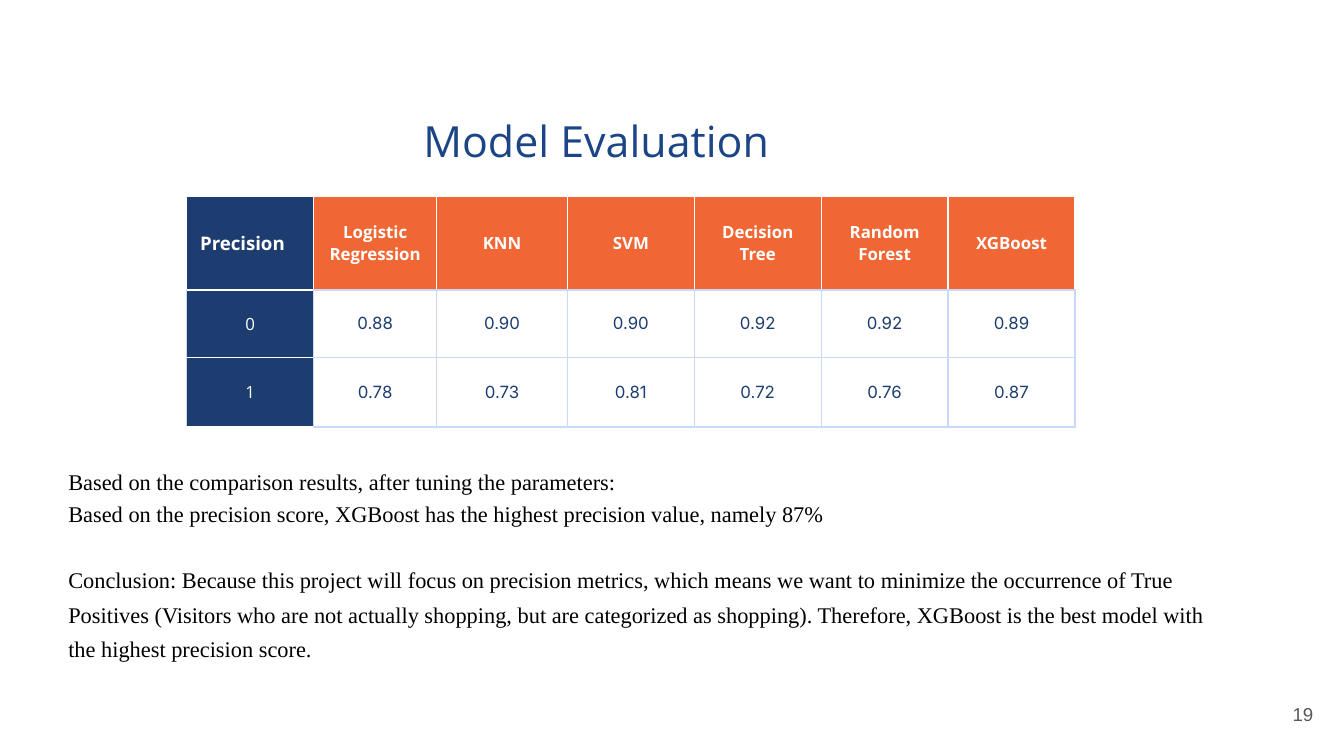
from dataclasses import dataclass

from lxml.etree import SubElement
from pptx import Presentation
from pptx.dml.color import RGBColor
from pptx.enum.text import MSO_ANCHOR, PP_ALIGN
from pptx.oxml.ns import qn
from pptx.util import Pt


@dataclass(frozen=True)
class Theme:
    title_blue: str = "1C4587"
    navy: str = "1D3D70"
    orange: str = "F06634"
    white: str = "FFFFFF"
    pale_blue: str = "C9DAF8"
    black: str = "000000"
    gray: str = "595959"
    title_size: float = 23
    corner_size: float = 10
    cell_size: float = 9
    body_size: float = 12
    number_size: float = 10
    title_font: str = "Open Sans"
    value_font: str = "Inter"
    body_font: str = "Times New Roman"
    number_font: str = "Arial"


THEME = Theme()
INSET = Pt(7.2)

COLUMN_WIDTHS = [68, 66, 70, 68, 68, 68, 68]
ROW_HEIGHTS = [50.4, 36, 37.4]
PRECISION_ROWS = [
    ["Precision", "Logistic Regression", "KNN", "SVM", "Decision Tree",
     "Random Forest", "XGBoost"],
    ["0", "0.88", "0.90", "0.90", "0.92", "0.92", "0.89"],
    ["1", "0.78", "0.73", "0.81", "0.72", "0.76", "0.87"],
]

# Text, line spacing, space before
CONCLUSIONS = [
    ("Based on the comparison results, after tuning the parameters:", 1.2, 0),
    ("Based on the precision score, XGBoost has the highest precision value, "
     "namely 87%", 1.2, 0),
    ("Conclusion: Because this project will focus on precision metrics, which "
     "means we want to minimize the occurrence of True Positives (Visitors who "
     "are not actually shopping, but are categorized as shopping). Therefore, "
     "XGBoost is the best model with the highest precision score.", 1.29, 17),
]


def style_paragraph(paragraph, font, size, color, alignment=PP_ALIGN.LEFT, bold=False):
    paragraph.alignment = alignment
    for run in paragraph.runs:
        run.font.name = font
        run.font.size = Pt(size)
        run.font.bold = bold
        run.font.color.rgb = RGBColor.from_string(color)


def set_insets(target):
    target.margin_left = target.margin_right = INSET
    target.margin_top = target.margin_bottom = INSET


def add_text_frame(slide, left, top, width, height, anchor=MSO_ANCHOR.TOP):
    shape = slide.shapes.add_textbox(Pt(left), Pt(top), Pt(width), Pt(height))
    text_frame = shape.text_frame
    text_frame.word_wrap = True
    text_frame.vertical_anchor = anchor
    set_insets(text_frame)
    return text_frame


def add_label(slide, text, box, font, size, color, alignment, anchor=MSO_ANCHOR.TOP):
    text_frame = add_text_frame(slide, *box, anchor)
    text_frame.text = text
    style_paragraph(text_frame.paragraphs[0], font, size, color, alignment)


def add_conclusions(slide, box):
    text_frame = add_text_frame(slide, *box)
    text_frame.text = "\n".join(text for text, _, _ in CONCLUSIONS)
    for paragraph, (_, spacing, before) in zip(text_frame.paragraphs, CONCLUSIONS):
        style_paragraph(paragraph, THEME.body_font, THEME.body_size, THEME.black)
        paragraph.line_spacing = spacing
        paragraph.space_before = Pt(before)


def set_borders(cell, left, right, top, bottom):
    properties = cell._tc.get_or_add_tcPr()
    sides = {"a:lnL": left, "a:lnR": right, "a:lnT": top, "a:lnB": bottom}
    for tag, color in sides.items():
        line = SubElement(properties, qn(tag), w=str(Pt(0.75)))
        fill = SubElement(line, qn("a:solidFill"))
        SubElement(fill, qn("a:srgbClr"), val=color)


def style_cell(cell, row, column):
    white, pale = THEME.white, THEME.pale_blue
    font, size, color = THEME.title_font, THEME.cell_size, white
    alignment = PP_ALIGN.CENTER
    if row == 0 and column == 0:
        fill, borders = THEME.navy, (white, white, white, white)
        size, alignment = THEME.corner_size, PP_ALIGN.LEFT
    elif row == 0:
        fill, borders = THEME.orange, (white, white, white, pale)
    elif column == 0:
        fill, borders = THEME.navy, (pale, pale, white, white)
    else:
        fill, borders = white, (pale, pale, pale, pale)
        font, color = THEME.value_font, THEME.navy
    set_insets(cell)
    cell.vertical_anchor = MSO_ANCHOR.MIDDLE
    set_borders(cell, *borders)
    cell.fill.solid()
    cell.fill.fore_color.rgb = RGBColor.from_string(fill)
    style_paragraph(cell.text_frame.paragraphs[0], font, size, color, alignment,
                    bold=row == 0)


def add_precision_table(slide, left, top):
    table = slide.shapes.add_table(
        len(ROW_HEIGHTS), len(COLUMN_WIDTHS), Pt(left), Pt(top),
        Pt(sum(COLUMN_WIDTHS)), Pt(sum(ROW_HEIGHTS))).table
    for column, width in zip(table.columns, COLUMN_WIDTHS):
        column.width = Pt(width)
    for row, height in zip(table.rows, ROW_HEIGHTS):
        row.height = Pt(height)
    for row, texts in enumerate(PRECISION_ROWS):
        for column, text in enumerate(texts):
            cell = table.cell(row, column)
            cell.text_frame.text = text
            style_cell(cell, row, column)


def main():
    presentation = Presentation()
    presentation.slide_width, presentation.slide_height = Pt(720), Pt(405)
    slide = presentation.slides.add_slide(presentation.slide_layouts[6])

    # Title
    add_label(slide, "Model Evaluation", (183.6, 54, 272, 38), THEME.title_font,
              THEME.title_size, THEME.title_blue, PP_ALIGN.CENTER)

    # Precision scores by model
    add_precision_table(slide, 100, 105)

    # Slide number
    add_label(slide, "19", (667.4, 367.2, 43.2, 31), THEME.number_font,
              THEME.number_size, THEME.gray, PP_ALIGN.RIGHT, MSO_ANCHOR.MIDDLE)

    # Findings and conclusion
    add_conclusions(slide, (29.5, 240.5, 633, 126.7))

    presentation.save("out.pptx")


if __name__ == "__main__":
    main()
